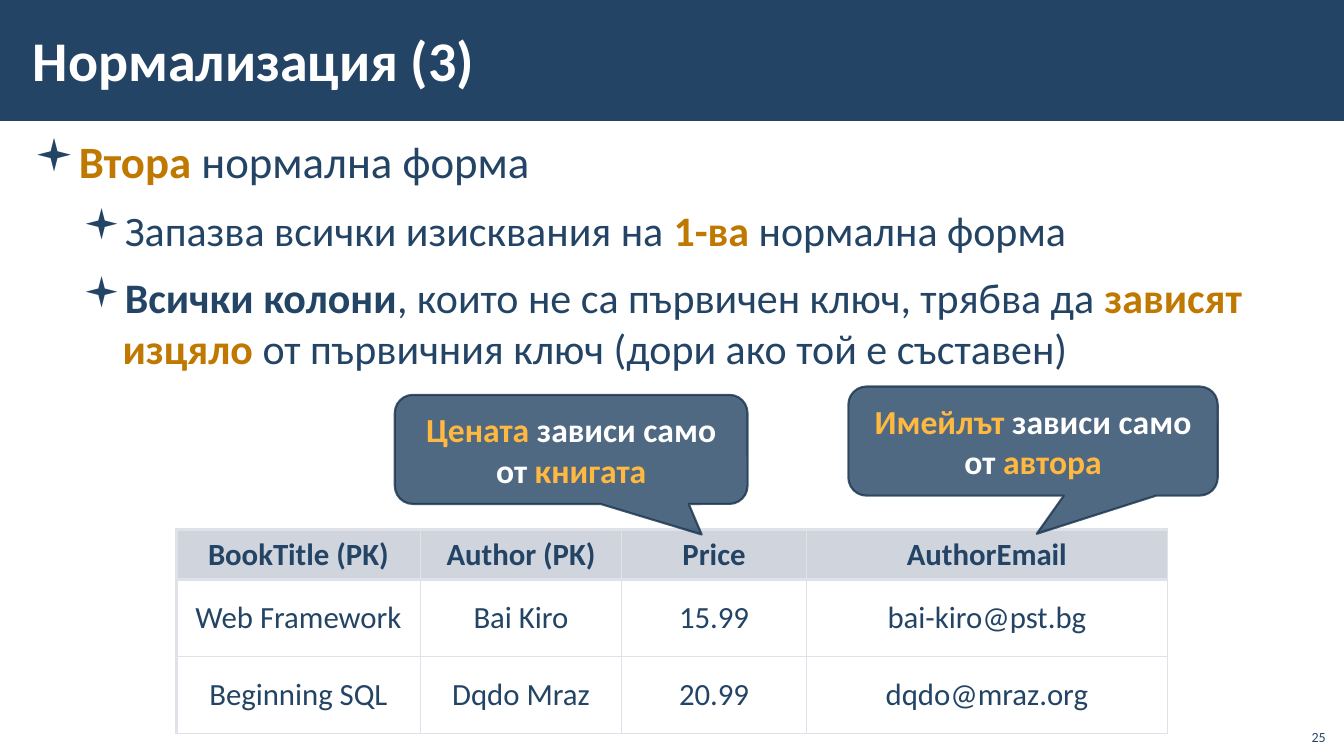
from lxml import etree
from pptx import Presentation
from pptx.dml.color import RGBColor
from pptx.enum import shapes, text
from pptx.oxml import ns
from pptx.util import Cm, Pt

NAVY = RGBColor(0x23, 0x44, 0x65)
DARK_NAVY = RGBColor(0x1A, 0x33, 0x4C)
OCHRE = RGBColor(0xBF, 0x78, 0x00)
AMBER = RGBColor(0xFF, 0xB8, 0x40)
WHITE = RGBColor(0xFF, 0xFF, 0xFF)
HEADER_GREY = RGBColor(0xD0, 0xD4, 0xDC)
BORDER_GREY = RGBColor(0xDF, 0xE2, 0xE9)

FONT = "Calibri"
BULLET_FONT = "Wingdings"
PAGE_WIDTH, PAGE_HEIGHT = 33.87, 19.05

# Each span is (text, colour, bold)
BULLETS = [
    (0, 32, [("Втора ", OCHRE, True), ("нормална форма", NAVY, False)]),
    (1, 30, [("Запазва всички изисквания на ", NAVY, False),
             ("1-ва ", OCHRE, True), ("нормална форма", NAVY, False)]),
    (1, 30, [("Всички колони", NAVY, True),
             (", които не са първичен ключ, трябва да ", NAVY, False),
             ("зависят изцяло ", OCHRE, True),
             ("от първичния ключ (дори ако той е съставен)", NAVY, False)]),
]
PRICE_NOTE = [("Цената", AMBER, True), (" зависи само от ", WHITE, True),
              ("книгата", AMBER, True)]
EMAIL_NOTE = [("Имейлът ", AMBER, True), ("зависи само от ", WHITE, True),
              ("автора", AMBER, True)]
BOOKS = [
    ["BookTitle (PK)", "Author (PK)", "Price", "AuthorEmail"],
    ["Web Framework", "Bai Kiro", "15.99", "bai-kiro@pst.bg"],
    ["Beginning SQL", "Dqdo Mraz", "20.99", "dqdo@mraz.org"],
]
COLUMN_WIDTHS = [6.14, 5.08, 4.65, 9.1]
ROW_HEIGHTS = [1.27, 1.94, 1.94]


def add_span(para, content, size=24, color=NAVY, bold=False):
    span = para.add_run()
    span.text = content
    span.font.name = FONT
    span.font.size = Pt(size)
    span.font.bold = bold
    span.font.color.rgb = color


def add_child(parent, tag, **attributes):
    return etree.SubElement(parent, ns.qn(tag), **attributes)


def add_text_box(page, box, anchor=text.MSO_ANCHOR.TOP, side_inset=0.3):
    frame = page.shapes.add_textbox(*map(Cm, box)).text_frame
    frame.word_wrap = True
    frame.vertical_anchor = anchor
    frame.margin_left = frame.margin_right = Cm(side_inset)
    frame.margin_top = frame.margin_bottom = Cm(0.1)
    return frame


def add_title_bar(page, box, title):
    left, top, width, height = box
    bar = page.shapes.add_shape(shapes.MSO_SHAPE.RECTANGLE, *map(Cm, box))
    bar.shadow.inherit = False
    bar.fill.solid()
    bar.fill.fore_color.rgb = NAVY
    bar.line.fill.background()
    title_box = (left + 0.53, top + 0.28, width - 5.35, height - 0.61)
    frame = add_text_box(page, title_box, text.MSO_ANCHOR.MIDDLE)
    add_span(frame.paragraphs[0], title, size=40, color=WHITE, bold=True)


def add_bullets(page, box, bullets):
    frame = add_text_box(page, box)
    for index, (level, size, spans) in enumerate(bullets):
        para = frame.add_paragraph() if index else frame.paragraphs[0]
        para.level = level
        para.space_before = para.space_after = Pt(6)
        properties = para._p.get_or_add_pPr()
        properties.set("marL", str(Cm(1 + 1.23 * level)))
        properties.set("indent", str(Cm(-1)))
        bullet_color = add_child(properties, "a:buClr")
        add_child(bullet_color, "a:srgbClr", val=str(NAVY))
        add_child(properties, "a:buFont", typeface=BULLET_FONT)
        add_child(properties, "a:buChar", char="▪")
        for content, color, bold in spans:
            add_span(para, content, size=size, color=color, bold=bold)


def set_borders(cell, thick_sides):
    properties = cell._tc.get_or_add_tcPr()
    for side in "LRTB":
        width = Pt(2.2 if side in thick_sides else 0.95)
        line = add_child(properties, f"a:ln{side}", w=str(width))
        fill = add_child(line, "a:solidFill")
        add_child(fill, "a:srgbClr", val=str(BORDER_GREY))


def add_book_table(page, left, top):
    box = (left, top, sum(COLUMN_WIDTHS), sum(ROW_HEIGHTS))
    table = page.shapes.add_table(len(BOOKS), len(COLUMN_WIDTHS),
                                  *map(Cm, box)).table
    table.first_row = table.horz_banding = False
    for column, width in zip(table.columns, COLUMN_WIDTHS):
        column.width = Cm(width)
    for r, (row, height) in enumerate(zip(BOOKS, ROW_HEIGHTS)):
        table.rows[r].height = Cm(height)
        for c, content in enumerate(row):
            cell = table.cell(r, c)
            thick_sides = ("TB", "T", "")[r] + ("" if c else "L")
            set_borders(cell, thick_sides)
            if r == 0:
                cell.fill.solid()
                cell.fill.fore_color.rgb = HEADER_GREY
            else:
                cell.fill.background()
            cell.vertical_anchor = text.MSO_ANCHOR.MIDDLE
            para = cell.text_frame.paragraphs[0]
            para.alignment = text.PP_ALIGN.CENTER
            add_span(para, content, size=22, bold=r == 0)


def add_callout(page, box, tip, spans):
    callout = page.shapes.add_shape(
        shapes.MSO_SHAPE.ROUNDED_RECTANGULAR_CALLOUT, *map(Cm, box))
    callout.shadow.inherit = False
    callout.adjustments[0], callout.adjustments[1] = tip
    callout.fill.solid()
    callout.fill.fore_color.rgb = NAVY
    callout.line.color.rgb = DARK_NAVY
    callout.line.width = Pt(1.5)
    # Fill and outline are both 80 % opaque
    for color in callout._element.spPr.iter(ns.qn("a:srgbClr")):
        add_child(color, "a:alpha", val="80000")
    frame = callout.text_frame
    frame.word_wrap = True
    frame.margin_left = frame.margin_right = Cm(0.35)
    frame.vertical_anchor = text.MSO_ANCHOR.MIDDLE
    para = frame.paragraphs[0]
    para.alignment = text.PP_ALIGN.CENTER
    for content, color, bold in spans:
        add_span(para, content, color=color, bold=bold)


def add_page_number(page, box, number):
    frame = add_text_box(page, box, text.MSO_ANCHOR.BOTTOM, side_inset=0.25)
    para = frame.paragraphs[0]
    para.alignment = text.PP_ALIGN.RIGHT
    add_span(para, number, size=10)


def main():
    deck = Presentation()
    deck.slide_width, deck.slide_height = Cm(PAGE_WIDTH), Cm(PAGE_HEIGHT)
    page = deck.slides.add_slide(deck.slide_layouts[6])

    # Heading and rules of the second normal form
    add_title_bar(page, (0, 0, PAGE_WIDTH, 3.05), "Нормализация (3)")
    add_bullets(page, (0.56, 3.28, 32.79, 15.47), BULLETS)

    # Example table with its two remarks
    add_book_table(page, 4.45, 13.34)
    add_callout(page, (9.95, 9.95, 8.89, 2.75), (0.37, 0.78), PRICE_NOTE)
    add_callout(page, (21.38, 9.74, 9.31, 2.75), (0.01, 0.85), EMAIL_NOTE)

    add_page_number(page, (32.64, 18.08, 1.02, 0.81), "25")
    deck.save("out.pptx")


if __name__ == "__main__":
    main()
